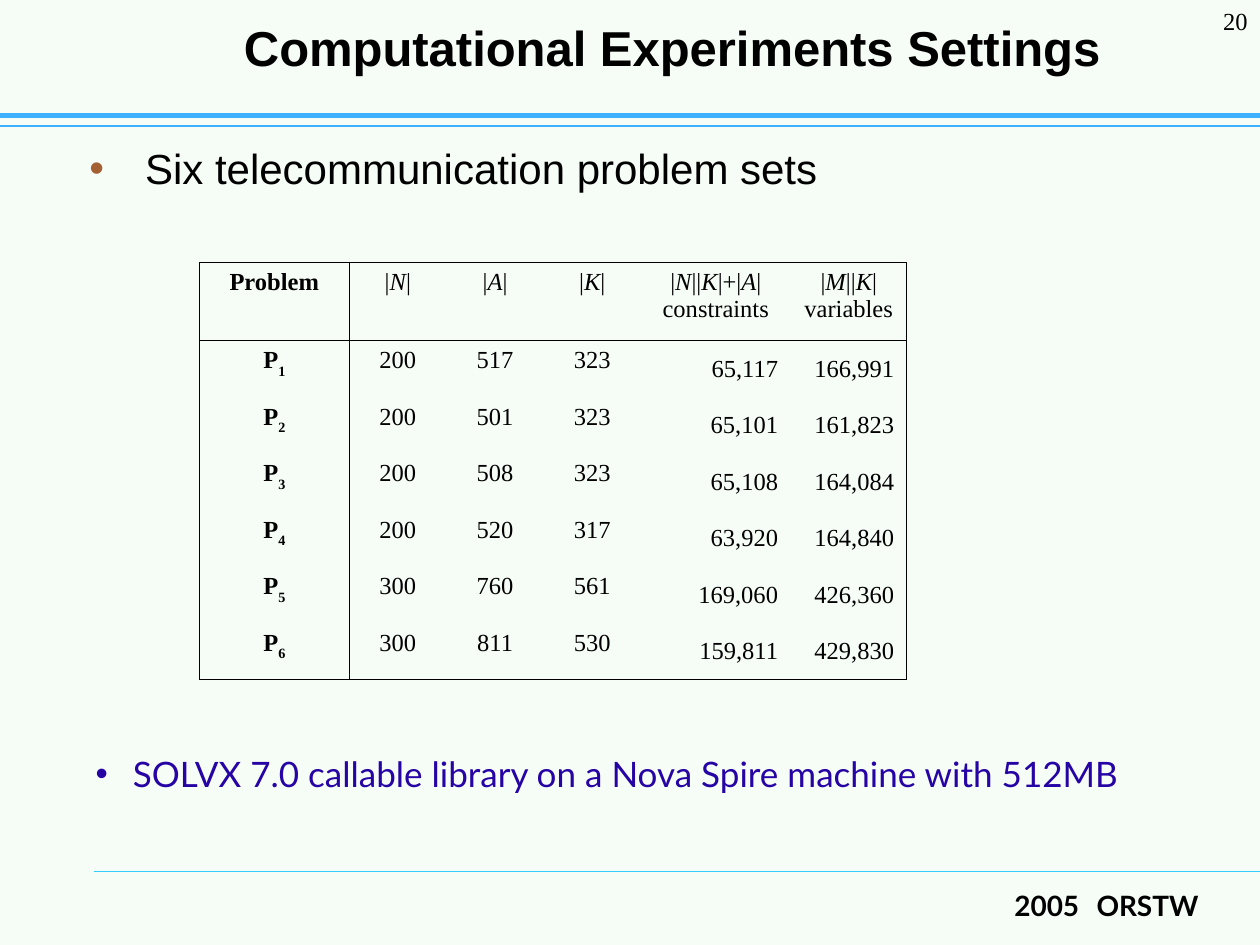
from lxml.etree import SubElement
from pptx import Presentation
from pptx.dml.color import RGBColor
from pptx.enum.shapes import MSO_CONNECTOR
from pptx.enum.text import MSO_ANCHOR, PP_ALIGN
from pptx.oxml import parse_xml
from pptx.oxml.ns import nsdecls, qn
from pptx.util import Cm, Pt

COLORS = {"paper": "F6FCF6", "ink": "000000", "rule": "3DB0FF",
          "footer_rule": "33CCFF", "bullet": "A46032", "violet": "2603A5"}
CELL_FORMAT = {"name": "Times New Roman", "size": Pt(14), "bold": False}


def add_span(para, text, color, formats):
    span = para.add_run()
    span.text = text
    span.font.color.rgb = RGBColor.from_string(COLORS[color])
    for name, value in formats.items():
        setattr(span.font, name, value)
    return span


def add_bullet(para, color, margin, indent):
    properties = para._p.get_or_add_pPr()
    properties.set("marL", str(Cm(margin)))
    properties.set("indent", str(Cm(-indent)))
    bullet_color = SubElement(properties, qn("a:buClr"))
    SubElement(bullet_color, qn("a:srgbClr")).set("val", COLORS[color])
    SubElement(properties, qn("a:buFont")).set("typeface", "Arial")
    SubElement(properties, qn("a:buChar")).set("char", "•")


deck = Presentation()
deck.slide_width, deck.slide_height = Cm(25.4), Cm(19.05)
page = deck.slides.add_slide(deck.slide_layouts[1])
page.background.fill.solid()
page.background.fill.fore_color.rgb = RGBColor.from_string(COLORS["paper"])

for left, top, color, width in [(1.9, 17.57, "footer_rule", 0.75),
                                (0, 2.54, "rule", 0.75),
                                (0, 2.33, "rule", 2.5)]:
    rule = page.shapes.add_connector(
        MSO_CONNECTOR.STRAIGHT, Cm(left), Cm(top), Cm(25.4), Cm(top))
    rule.line.color.rgb = RGBColor.from_string(COLORS[color])
    rule.line.width = Pt(width)
    SubElement(rule._element.spPr, qn("a:effectLst"))

title, body = page.shapes.title, page.placeholders[1]
software, footer, number = [page.shapes.add_textbox(0, 0, 0, 0) for _ in range(3)]
places = [(title, 3.6, 0, 19.9, 1.9), (body, 1.27, 2.75, 23.5, 15.03),
          (software, 1.68, 15.04, 21.46, 1.12), (footer, 4.65, 17.78, 19.76, 1.27),
          (number, 23.3, 0, 2.1, 1.27)]
for box, left, top, width, height in places:
    box.left, box.top, box.width, box.height = Cm(left), Cm(top), Cm(width), Cm(height)
    box.text_frame.word_wrap = True

title.text_frame.vertical_anchor = MSO_ANCHOR.MIDDLE
para = title.text_frame.paragraphs[0]
para.alignment = PP_ALIGN.CENTER
add_span(para, "Computational Experiments Settings", "ink",
         {"name": "Arial", "size": Pt(28), "bold": True})

para = body.text_frame.paragraphs[0]
add_bullet(para, "bullet", 1.4, 1.12)
para.space_before = Pt(0)
add_span(para, "Six telecommunication problem sets", "ink",
         {"name": "Arial", "size": Pt(24)})

para = software.text_frame.paragraphs[0]
add_bullet(para, "violet", 0.75, 0.75)
add_span(para, "SOLVX 7.0 callable library on a Nova Spire machine with 512MB",
         "violet", {"name": "Lato", "size": Pt(20)})

para = footer.text_frame.paragraphs[0]
para.alignment = PP_ALIGN.RIGHT
for text in ("2005", " ", "ORSTW"):
    span = add_span(para, text, "ink", {"name": "Lato", "size": Pt(16), "bold": True})
    if text == " ":
        span._r.get_or_add_rPr().set("spc", "600")

para = number.text_frame.paragraphs[0]
para.alignment = PP_ALIGN.RIGHT
add_span(para, "20", "ink", CELL_FORMAT)

problems = [
    [["Problem"], ["|", "N", "|"], ["|", "A", "|"], ["|", "K", "|"],
     ["|", "N", "||", "K", "|+|", "A", "|", "\n", "constraints"],
     ["|", "M", "||", "K", "|", "\n", "variables"]],
    [["P", "1"], ["200"], ["517"], ["323"], ["65,117"], ["166,991"]],
    [["P", "2"], ["200"], ["501"], ["323"], ["65,101"], ["161,823"]],
    [["P", "3"], ["200"], ["508"], ["323"], ["65,108"], ["164,084"]],
    [["P", "4"], ["200"], ["520"], ["317"], ["63,920"], ["164,840"]],
    [["P", "5"], ["300"], ["760"], ["561"], ["169,060"], ["426,360"]],
    [["P", "6"], ["300"], ["811"], ["530"], ["159,811"], ["429,830"]],
]
column_widths = [3.02, 1.96, 1.96, 1.96, 3.02, 2.34]
row_heights = [1.58] + [1.14] * 6
last_row, last_column = len(row_heights) - 1, len(column_widths) - 1
table = page.shapes.add_table(
    len(row_heights), len(column_widths), Cm(4.02), Cm(5.29),
    Cm(sum(column_widths)), Cm(sum(row_heights))).table
table.first_row = table.horz_banding = False
for column, width in zip(table.columns, column_widths):
    column.width = Cm(width)
for row, height in zip(table.rows, row_heights):
    row.height = Cm(height)

for r, values in enumerate(problems):
    for c, spans in enumerate(values):
        cell = table.cell(r, c)
        cell.fill.background()
        para = cell.text_frame.paragraphs[0]
        is_total = r > 0 and c > 3
        para.alignment = PP_ALIGN.RIGHT if is_total else PP_ALIGN.CENTER
        cell.vertical_anchor = MSO_ANCHOR.MIDDLE if is_total else MSO_ANCHOR.TOP
        for text in spans:
            if text == "\n":
                para.add_line_break()
                continue
            is_symbol = r == 0 and len(text) == 1 and text.isalpha()
            span = add_span(para, text, "ink",
                            CELL_FORMAT | {"bold": c == 0, "italic": is_symbol})
            if c == 0 and text.isdigit():
                span._r.get_or_add_rPr().set("baseline", "-30000")
        edges = {"lnL": c < 2, "lnR": c in (0, last_column),
                 "lnT": r < 2, "lnB": r in (0, last_row)}
        for position, (edge, drawn) in enumerate(edges.items()):
            paint = (f'<a:solidFill><a:srgbClr val="{COLORS["ink"]}"/></a:solidFill>'
                     if drawn else "<a:noFill/>")
            border = parse_xml(f'<a:{edge} {nsdecls("a")} w="{Pt(0.45)}">{paint}</a:{edge}>')
            cell._tc.get_or_add_tcPr().insert(position, border)

deck.save("out.pptx")
